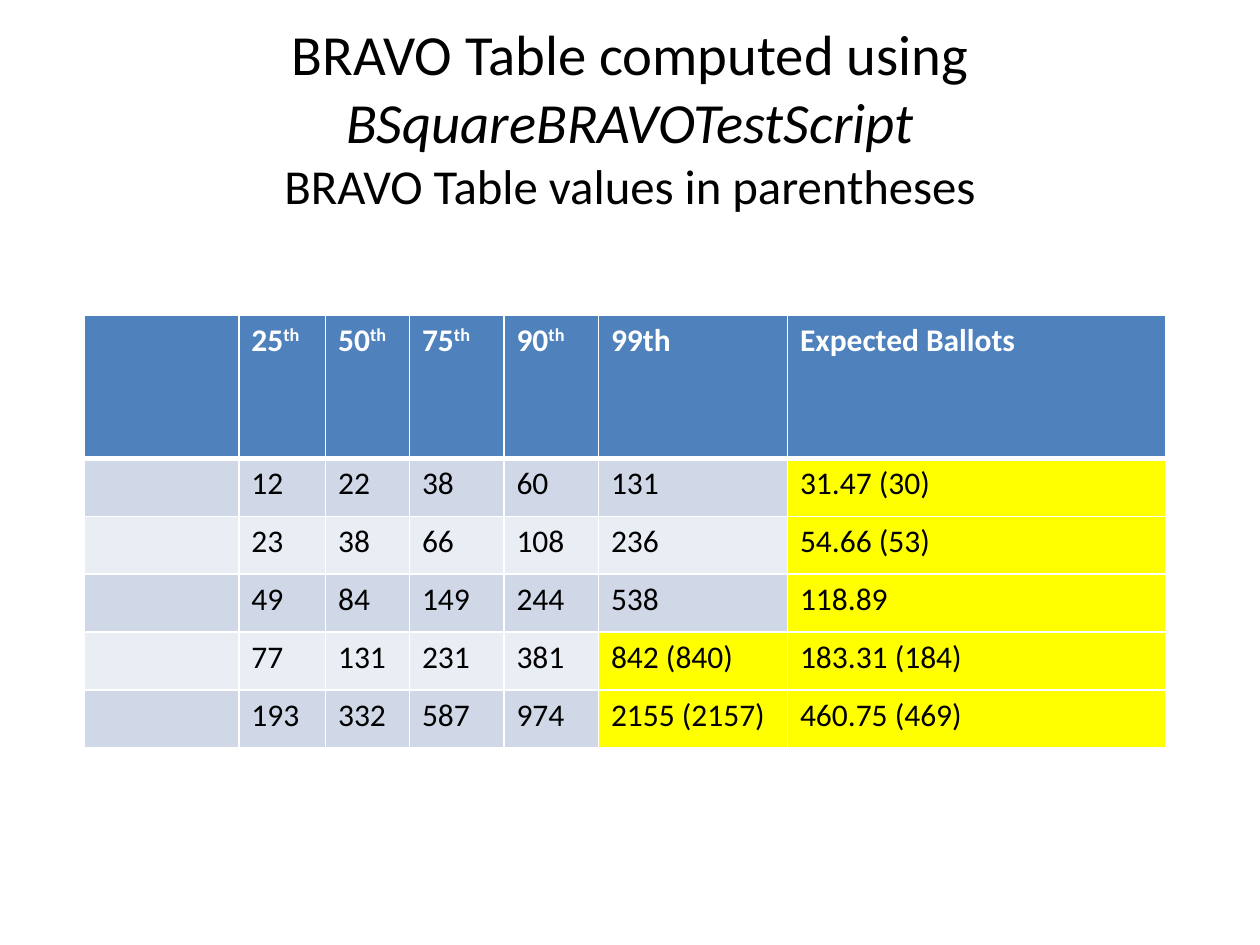
from typing import NamedTuple

from lxml.etree import SubElement
from pptx import Presentation
from pptx.dml.color import RGBColor
from pptx.enum.text import MSO_ANCHOR, PP_ALIGN
from pptx.oxml.ns import qn
from pptx.util import Pt

FONT = "Calibri"
BLACK = RGBColor(0x00, 0x00, 0x00)
WHITE = RGBColor(0xFF, 0xFF, 0xFF)
HEADER_BLUE = RGBColor(0x4F, 0x81, 0xBD)
BAND_DARK = RGBColor(0xD0, 0xD8, 0xE8)
BAND_LIGHT = RGBColor(0xE9, 0xED, 0xF4)
YELLOW = RGBColor(0xFF, 0xFF, 0x00)


class Heading(NamedTuple):
    """A column heading, its raised suffix and the column width in points."""
    text: str
    suffix: str
    width: float


HEADINGS = [
    Heading("", "", 88.5),
    Heading("25", "th", 49.5),
    Heading("50", "th", 48),
    Heading("75", "th", 54),
    Heading("90", "th", 54),
    Heading("99th", "", 108),
    Heading("Expected Ballots", "", 216),
]
ROWS = [
    ("", "12", "22", "38", "60", "131", "31.47 (30)"),
    ("", "23", "38", "66", "108", "236", "54.66 (53)"),
    ("", "49", "84", "149", "244", "538", "118.89"),
    ("", "77", "131", "231", "381", "842 (840)", "183.31 (184)"),
    ("", "193", "332", "587", "974", "2155 (2157)", "460.75 (469)"),
]
HEADER_HEIGHT, ROW_HEIGHT = 82, 33.1


def add_run(p, text: str, size: float, color: RGBColor = BLACK,
            bold: bool = False, italic: bool = False):
    """Append a formatted run to a paragraph."""
    r = p.add_run()
    r.text = text
    font = r.font
    font.name, font.size = FONT, Pt(size)
    font.bold, font.italic = bold, italic
    font.color.rgb = color
    return r


def style_cell(cell, fill: RGBColor, bottom: float = 1, top: float = 1) -> None:
    """Give a cell white borders and a solid fill."""
    tc_pr = cell._tc.get_or_add_tcPr()
    for side, width in (("L", 1), ("R", 1), ("T", top), ("B", bottom)):
        ln = SubElement(tc_pr, qn(f"a:ln{side}"), w=str(Pt(width)))
        solid = SubElement(ln, qn("a:solidFill"))
        SubElement(solid, qn("a:srgbClr"), val=str(WHITE))
    cell.fill.solid()
    cell.fill.fore_color.rgb = fill


def add_title(s) -> None:
    """Add the centred title with its smaller last line."""
    tf = s.shapes.add_textbox(Pt(36), Pt(21.6), Pt(648), Pt(90)).text_frame
    tf.word_wrap = True
    tf.vertical_anchor = MSO_ANCHOR.MIDDLE
    p = tf.paragraphs[0]
    p.alignment = PP_ALIGN.CENTER
    add_run(p, "BRAVO Table computed using ", 32.4)
    add_run(p, "BSquareBRAVOTestScript", 32.4, italic=True)
    p.add_line_break()
    add_run(p, "BRAVO Table values in parentheses", 27.9)


def add_ballot_table(s) -> None:
    """Add the table of percentiles and expected ballots."""
    width = sum(h.width for h in HEADINGS)
    height = HEADER_HEIGHT + ROW_HEIGHT * len(ROWS)
    table = s.shapes.add_table(len(ROWS) + 1, len(HEADINGS), Pt(48), Pt(180),
                               Pt(width), Pt(height)).table
    table.rows[0].height = Pt(HEADER_HEIGHT)
    for col, heading in enumerate(HEADINGS):
        table.columns[col].width = Pt(heading.width)
        cell = table.cell(0, col)
        style_cell(cell, HEADER_BLUE, bottom=3)
        p = cell.text_frame.paragraphs[0]
        if heading.text:
            add_run(p, heading.text, 18, WHITE, bold=True)
        if heading.suffix:
            r = add_run(p, heading.suffix, 18, WHITE, bold=True)
            r.font._element.set("baseline", "30000")

    for row, values in enumerate(ROWS, start=1):
        table.rows[row].height = Pt(ROW_HEIGHT)
        band = BAND_DARK if row % 2 else BAND_LIGHT
        for col, value in enumerate(values):
            marked = "(" in value or col == len(values) - 1
            cell = table.cell(row, col)
            style_cell(cell, YELLOW if marked else band, top=3 if row == 1 else 1)
            if value:
                add_run(cell.text_frame.paragraphs[0], value, 18)


def main() -> None:
    """Build and save the slide."""
    prs = Presentation()
    prs.slide_width, prs.slide_height = Pt(720), Pt(540)
    s = prs.slides.add_slide(prs.slide_layouts[6])
    add_title(s)
    add_ballot_table(s)
    prs.save("out.pptx")


main()
